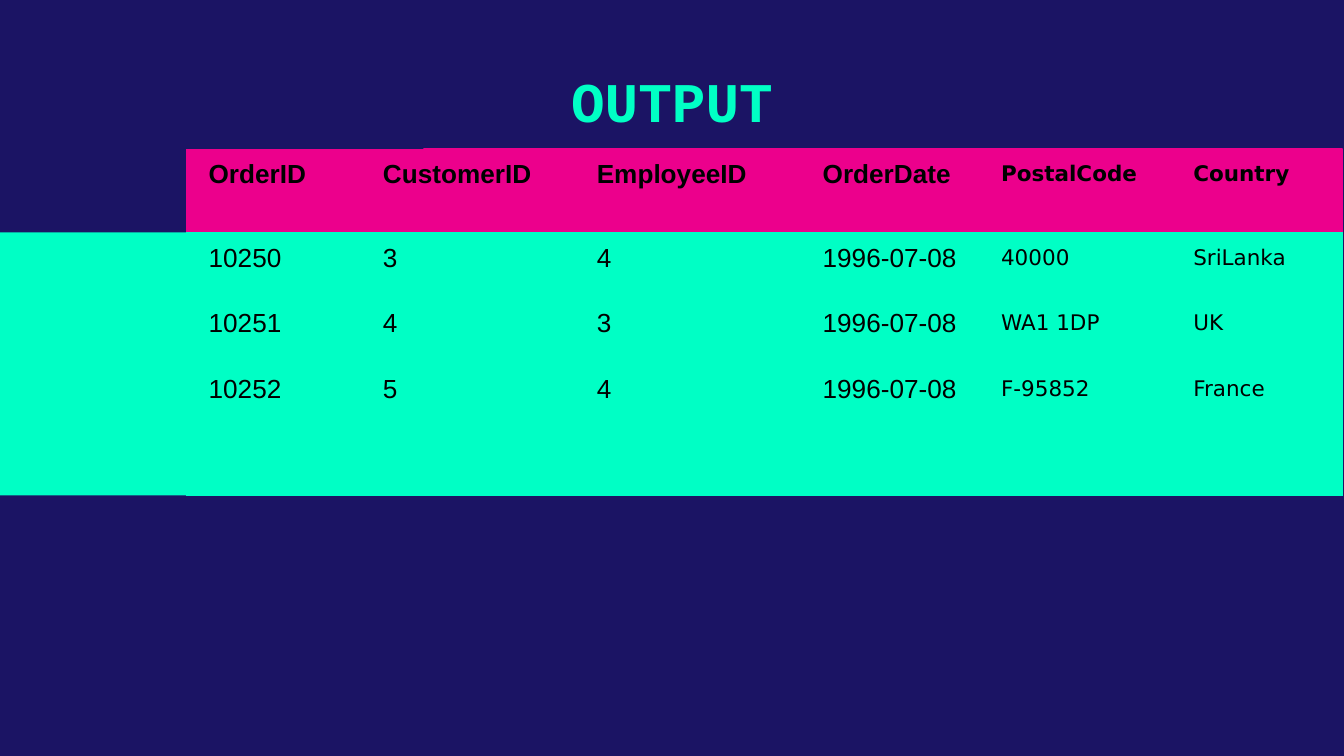
from dataclasses import dataclass

from pptx import Presentation
from pptx.dml.color import RGBColor
from pptx.enum import shapes, text
from pptx.oxml.ns import qn
from pptx.util import Pt


@dataclass(frozen=True)
class Theme:
    navy: RGBColor = RGBColor(0x1B, 0x14, 0x64)
    mint: RGBColor = RGBColor(0x00, 0xFF, 0xC5)
    pink: RGBColor = RGBColor(0xEC, 0x00, 0x8C)
    black: RGBColor = RGBColor(0, 0, 0)
    title_font: str = "Courier New"
    order_font: str = "Arial"
    address_font: str = "DejaVu Sans"
    title_size: float = 30
    order_size: float = 14
    address_size: float = 11.5


theme = Theme()
NO_STYLE_NO_GRID = "{2D5ABB26-0587-4C30-8999-92F81FD0307C}"


def style_font(font, name, size, color, bold):
    font.name, font.size, font.bold = name, Pt(size), bold
    font.color.rgb = color


prs = Presentation()
prs.slide_width, prs.slide_height = Pt(720), Pt(405)
slide = prs.slides.add_slide(prs.slide_layouts[5])
slide.background.fill.solid()
slide.background.fill.fore_color.rgb = theme.navy

# Title
title = slide.shapes.title
title.left, title.top, title.width, title.height = Pt(100.8), Pt(27.4), Pt(518.4), Pt(52.4)
title.text_frame.text = "OUTPUT"
title.text_frame.vertical_anchor = text.MSO_ANCHOR.MIDDLE
heading = title.text_frame.paragraphs[0]
heading.alignment = text.PP_ALIGN.CENTER
style_font(heading.runs[0].font, theme.title_font, theme.title_size, theme.mint, True)

# Bands behind the table
bands = [
    (0, 124.5, 594.7, 141, theme.mint),
    (226.8, 79.3, 492.5, 44.6, theme.pink),
]
for left, top, width, height, color in bands:
    band = slide.shapes.add_shape(
        shapes.MSO_SHAPE.RECTANGLE, Pt(left), Pt(top), Pt(width), Pt(height))
    band.shadow.inherit = False
    band.fill.solid()
    band.fill.fore_color.rgb = color
    band.line.fill.background()

# Query result: the first column and the last row are empty
records = [
    ["", "OrderID", "CustomerID", "EmployeeID", "OrderDate", "PostalCode", "Country"],
    ["", "10250", "3", "4", "1996-07-08", "40000", "SriLanka"],
    ["", "10251", "4", "3", "1996-07-08", "WA1 1DP", "UK"],
    ["", "10252", "5", "4", "1996-07-08", "F-95852", "France"],
    [""] * 7,
]
column_widths = [70.4, 99.4, 114.6, 121, 95.6, 103, 86.2]
row_heights = [44.6] + [35.3] * 4

orders = slide.shapes.add_table(
    len(records), len(column_widths), Pt(29.4), Pt(79.8),
    Pt(sum(column_widths)), Pt(sum(row_heights))).table
orders.first_row = orders.horz_banding = False
orders._tbl.tblPr.find(qn("a:tableStyleId")).text = NO_STYLE_NO_GRID
for column, width in zip(orders.columns, column_widths):
    column.width = Pt(width)
for row, height in zip(orders.rows, row_heights):
    row.height = Pt(height)

for r, record in enumerate(records):
    for c, value in enumerate(record):
        cell = orders.cell(r, c)
        if c == 0:
            cell.fill.background()
            continue
        cell.fill.solid()
        cell.fill.fore_color.rgb = theme.pink if r == 0 else theme.mint
        cell.margin_left = Pt(12 if c == 1 else 6)
        cell.margin_top = cell.margin_right = cell.margin_bottom = Pt(6)
        if not value:
            continue
        cell.text_frame.text = value
        entry = cell.text_frame.paragraphs[0]
        is_address = c >= 5
        if is_address:
            entry.line_spacing = 1.07
        style_font(
            entry.runs[0].font,
            theme.address_font if is_address else theme.order_font,
            theme.address_size if is_address else theme.order_size,
            theme.black, r == 0)

prs.save("out.pptx")
